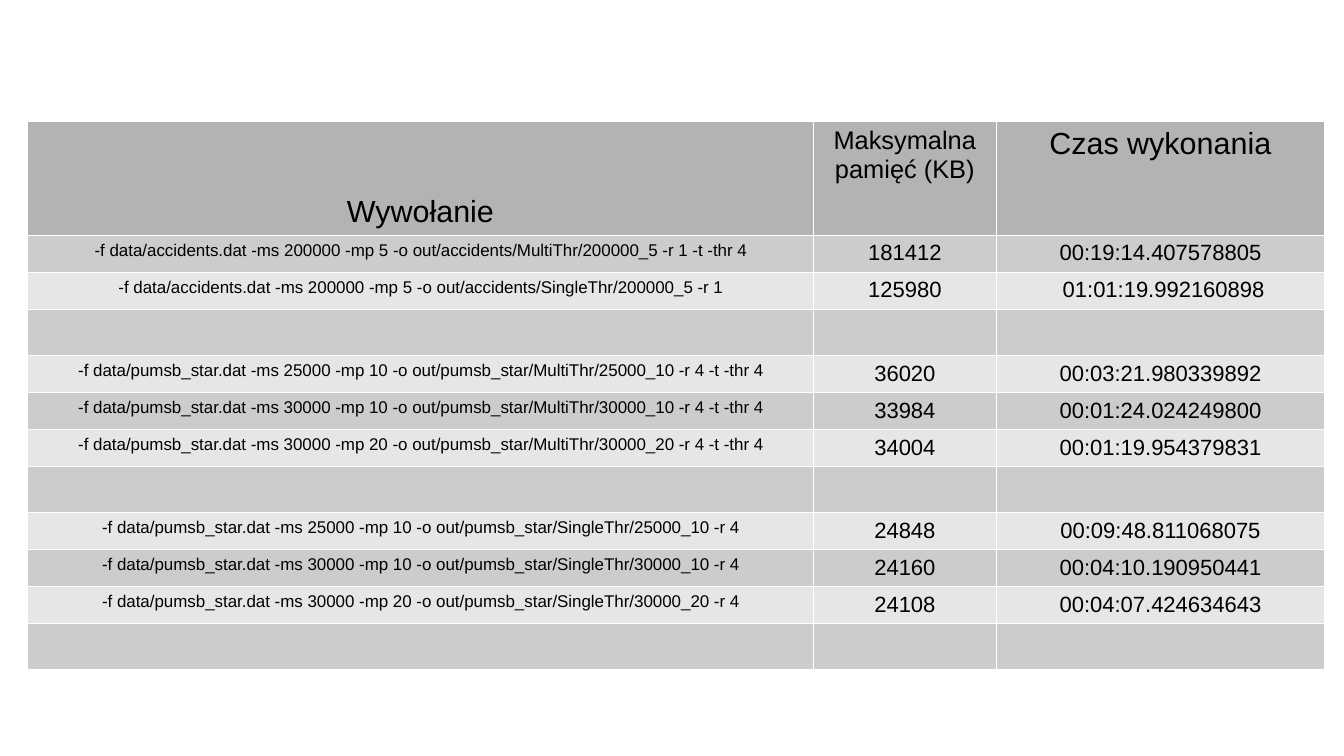
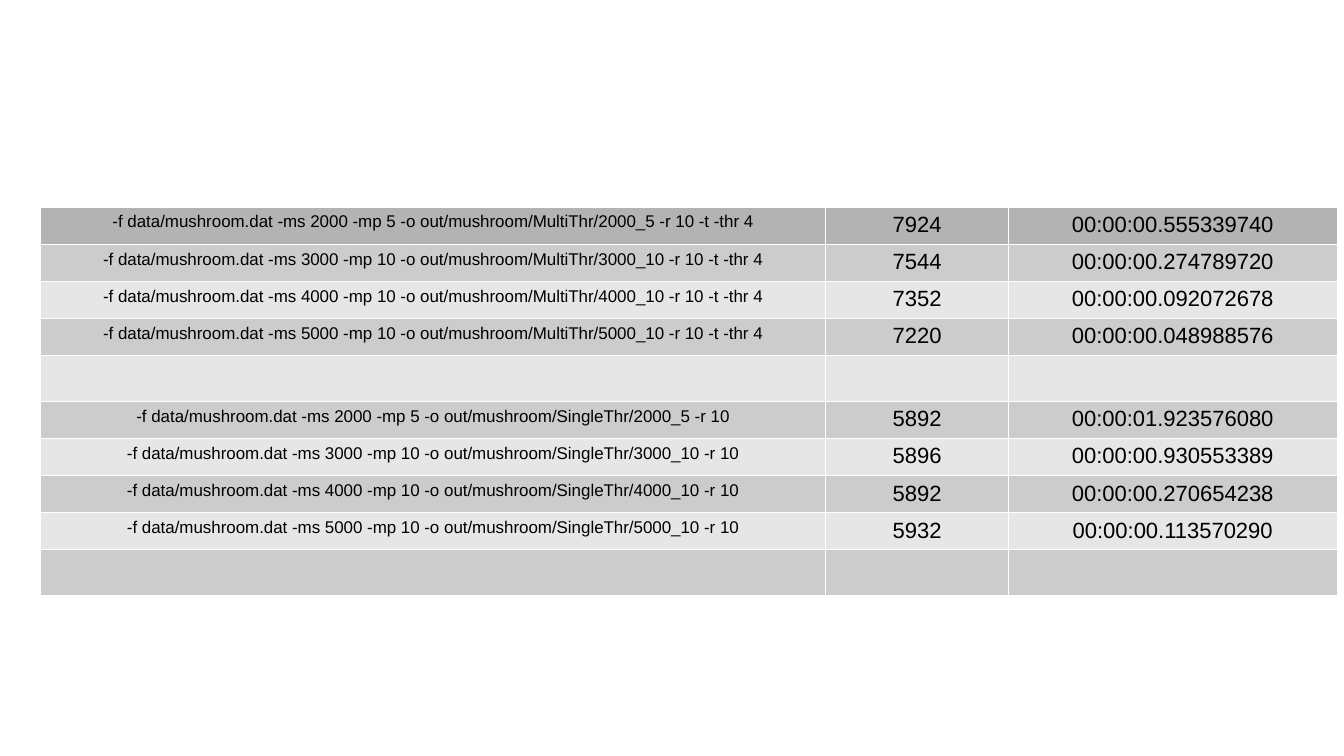
from lxml import etree
from pptx import Presentation
from pptx.dml.color import RGBColor
from pptx.enum.text import MSO_ANCHOR, PP_ALIGN
from pptx.oxml.ns import qn
from pptx.util import Pt

CENTER = PP_ALIGN.CENTER
TOP, BOTTOM = MSO_ANCHOR.TOP, MSO_ANCHOR.BOTTOM

# Content: call, peak memory, run time; None is a spacer row
HEADINGS = ("Wywołanie", "Maksymalna pamięć (KB)", "Czas wykonania")
LARGE_RUNS = [
    ("-f data/accidents.dat -ms 200000 -mp 5 -o out/accidents/MultiThr/200000_5 -r 1 -t -thr 4",
     "181412", "00:19:14.407578805"),
    ("-f data/accidents.dat -ms 200000 -mp 5 -o out/accidents/SingleThr/200000_5 -r 1",
     "125980", " 01:01:19.992160898"),
    None,
    ("-f data/pumsb_star.dat -ms 25000 -mp 10 -o out/pumsb_star/MultiThr/25000_10 -r 4 -t -thr 4",
     "36020", "00:03:21.980339892"),
    ("-f data/pumsb_star.dat -ms 30000 -mp 10 -o out/pumsb_star/MultiThr/30000_10 -r 4 -t -thr 4",
     "33984", "00:01:24.024249800"),
    ("-f data/pumsb_star.dat -ms 30000 -mp 20 -o out/pumsb_star/MultiThr/30000_20 -r 4 -t -thr 4",
     "34004", "00:01:19.954379831"),
    None,
    ("-f data/pumsb_star.dat -ms 25000 -mp 10 -o out/pumsb_star/SingleThr/25000_10 -r 4",
     "24848", "00:09:48.811068075"),
    ("-f data/pumsb_star.dat -ms 30000 -mp 10 -o out/pumsb_star/SingleThr/30000_10 -r 4",
     "24160", "00:04:10.190950441"),
    ("-f data/pumsb_star.dat -ms 30000 -mp 20 -o out/pumsb_star/SingleThr/30000_20 -r 4",
     "24108", "00:04:07.424634643"),
    None,
]
MUSHROOM_RUNS = [
    ("-f data/mushroom.dat -ms 2000 -mp 5 -o out/mushroom/MultiThr/2000_5 -r 10 -t -thr 4",
     "7924", "00:00:00.555339740"),
    ("-f data/mushroom.dat -ms 3000 -mp 10 -o out/mushroom/MultiThr/3000_10 -r 10 -t -thr 4",
     "7544", "00:00:00.274789720"),
    ("-f data/mushroom.dat -ms 4000 -mp 10 -o out/mushroom/MultiThr/4000_10 -r 10 -t -thr 4",
     "7352", "00:00:00.092072678"),
    ("-f data/mushroom.dat -ms 5000 -mp 10 -o out/mushroom/MultiThr/5000_10 -r 10 -t -thr 4",
     "7220", "00:00:00.048988576"),
    None,
    ("-f data/mushroom.dat -ms 2000 -mp 5 -o out/mushroom/SingleThr/2000_5 -r 10",
     "5892", "00:00:01.923576080"),
    ("-f data/mushroom.dat -ms 3000 -mp 10 -o out/mushroom/SingleThr/3000_10 -r 10",
     "5896", "00:00:00.930553389"),
    ("-f data/mushroom.dat -ms 4000 -mp 10 -o out/mushroom/SingleThr/4000_10 -r 10",
     "5892", "00:00:00.270654238"),
    ("-f data/mushroom.dat -ms 5000 -mp 10 -o out/mushroom/SingleThr/5000_10 -r 10",
     "5932", "00:00:00.113570290"),
    None,
]
SLIDES = [
    {"left": 16.2, "top": 71.4, "headings": HEADINGS, "runs": LARGE_RUNS},
    {"left": 23.4, "top": 122, "headings": None, "runs": MUSHROOM_RUNS},
]

# Shared look
COLORS = {"first": "B3B3B3", "odd": "CCCCCC", "even": "E6E6E6",
          "border": "FFFFFF", "text": "000000"}
FONT = "Arial"
COL_WIDTHS = (464, 108, 193.7)
HEADING_SIZES, RUN_SIZES = (18, 15, 18), (10, 13, 13)
HEADING_H, RUN_H, SPACER_H = 67.3, 21.9, 27.2
BORDER_W = 0.06


def set_borders(cell):
    """Thin lines on all four sides, placed ahead of the cell fill."""
    tcPr = cell._tc.get_or_add_tcPr()
    for i, side in enumerate(("a:lnL", "a:lnR", "a:lnT", "a:lnB")):
        ln = etree.Element(qn(side), w=str(Pt(BORDER_W)))
        fill = etree.SubElement(ln, qn("a:solidFill"))
        etree.SubElement(fill, qn("a:srgbClr"), val=COLORS["border"])
        tcPr.insert(i, ln)


def fill_cell(cell, text, size, color, anchor):
    cell.fill.solid()
    cell.fill.fore_color.rgb = RGBColor.from_string(color)
    set_borders(cell)
    cell.vertical_anchor = anchor
    p = cell.text_frame.paragraphs[0]
    p.alignment = CENTER
    if not text:
        # Keeps an empty line from stretching its row
        etree.SubElement(p._p, qn("a:endParaRPr"), sz=str(size * 100))
        return
    r = p.add_run()
    r.text = text
    for name, value in {"name": FONT, "size": Pt(size), "bold": False}.items():
        setattr(r.font, name, value)
    r.font.color.rgb = RGBColor.from_string(COLORS["text"])


def add_results(s, left, top, headings, runs):
    # One (texts, sizes, height) entry per row
    rows = [(headings, HEADING_SIZES, HEADING_H)] if headings else []
    for run in runs:
        rows.append((run or ("", "", ""), RUN_SIZES, RUN_H if run else SPACER_H))

    height = sum(row[2] for row in rows)
    table = s.shapes.add_table(len(rows), len(COL_WIDTHS), Pt(left), Pt(top),
                               Pt(sum(COL_WIDTHS)), Pt(height)).table
    for col, width in zip(table.columns, COL_WIDTHS):
        col.width = Pt(width)
    for i, (texts, sizes, row_h) in enumerate(rows):
        table.rows[i].height = Pt(row_h)
        color = COLORS["first" if i == 0 else "odd" if i % 2 else "even"]
        for j, (text, size) in enumerate(zip(texts, sizes)):
            anchor = BOTTOM if texts is headings and j == 0 else TOP
            fill_cell(table.cell(i, j), text, size, color, anchor)


def main():
    prs = Presentation()
    prs.slide_width, prs.slide_height = Pt(793.44), Pt(446.4)
    blank = prs.slide_layouts[6]
    for content in SLIDES:
        add_results(prs.slides.add_slide(blank), **content)
    prs.save("out.pptx")


if __name__ == "__main__":
    main()
